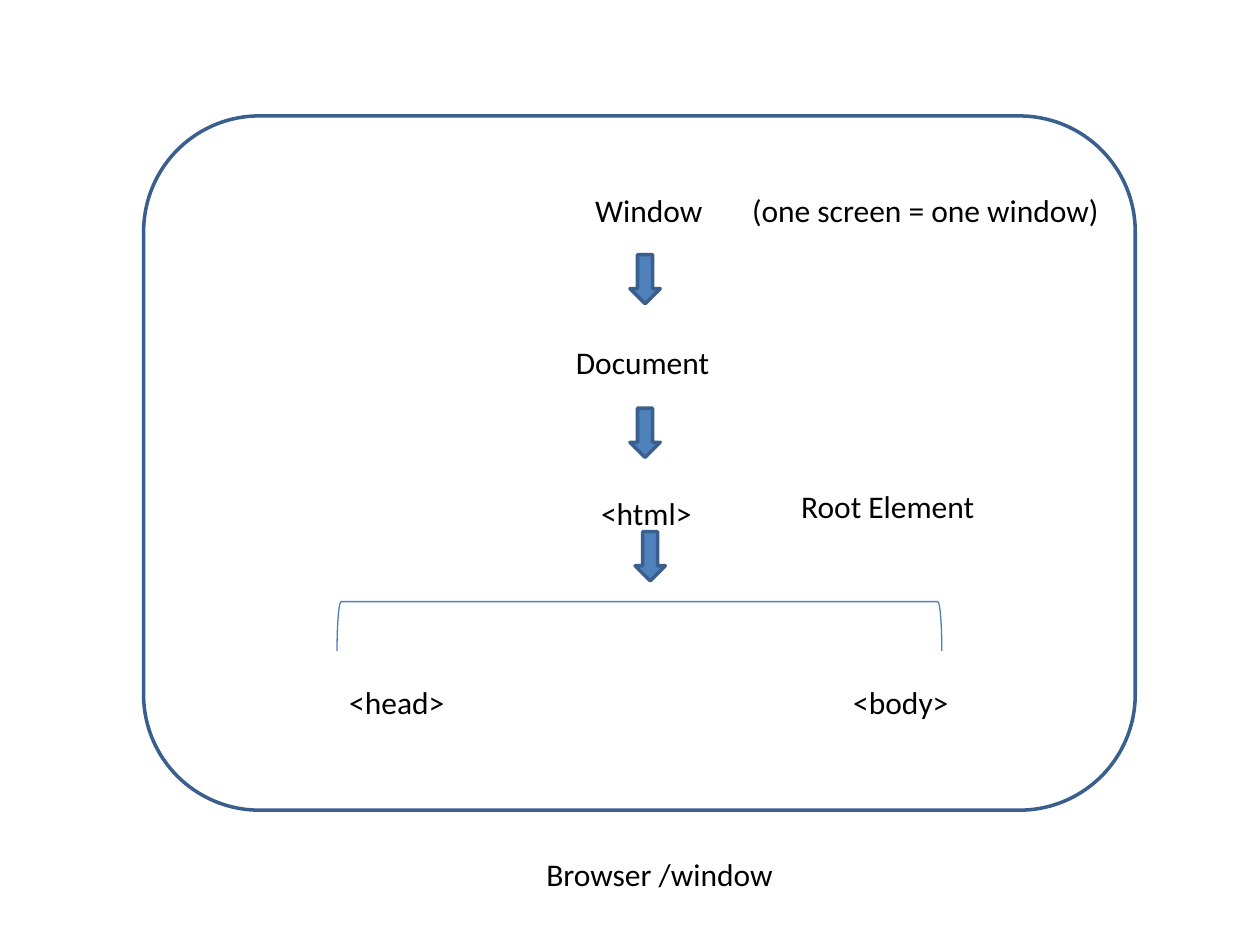
from dataclasses import dataclass
from typing import Optional

from pptx import Presentation
from pptx.dml.color import RGBColor
from pptx.enum.shapes import MSO_SHAPE
from pptx.enum.text import PP_ALIGN
from pptx.util import Inches, Pt


@dataclass(frozen=True)
class Theme:
    font: str = "Calibri"
    size: float = 18
    text: str = "000000"
    fill: str = "4F81BD"
    outline: str = "3A5F8C"
    bracket: str = "4B7EBC"


@dataclass(frozen=True)
class Label:
    text: str
    left: float
    top: float
    width: float
    align: PP_ALIGN = PP_ALIGN.CENTER


@dataclass(frozen=True)
class Figure:
    kind: MSO_SHAPE
    left: float
    top: float
    width: float
    height: float
    line: str
    weight: float
    fill: Optional[str] = None
    rotation: float = 0


THEME = Theme()
LABEL_HEIGHT = 0.4
NODE_WIDTH = 1.6
NODE_TOP = 1.47
NODE_STEP = 1.2

NODES = [
    ("Window", 5.15, 0),
    ("Document", 5.1, 1),
    ("<html>", 5.13, 2),
    ("<head>", 3.15, 3.25),
    ("<body>", 7.15, 3.25),
]
LABELS = [
    Label(text, center - NODE_WIDTH / 2, NODE_TOP + row * NODE_STEP, NODE_WIDTH)
    for text, center, row in NODES
] + [
    Label("Browser /window", 3.03, 6.74, 4.41),
    Label("(one screen = one window)", 5.87, NODE_TOP, 3.15, PP_ALIGN.LEFT),
    Label("Root Element", 6.26, 3.82, 3.15, PP_ALIGN.LEFT),
]

FRAME = Figure(MSO_SHAPE.ROUNDED_RECTANGLE, 1.14, 0.92, 7.87, 5.51, THEME.outline, 2)
BRACKET = Figure(MSO_SHAPE.RIGHT_BRACKET, 4.88, 2.57, 0.39, 4.8, THEME.bracket, 0.75,
                 rotation=270)
ARROWS = [
    Figure(MSO_SHAPE.DOWN_ARROW, left, top, 0.24, 0.39, THEME.outline, 2, THEME.fill)
    for left, top in [(5, 2.02), (5, 3.24), (5.04, 4.22)]
]


def add_figure(s, fig: Figure) -> None:
    sp = s.shapes.add_shape(fig.kind, Inches(fig.left), Inches(fig.top),
                            Inches(fig.width), Inches(fig.height))
    sp.shadow.inherit = False
    sp.rotation = fig.rotation
    if fig.fill:
        sp.fill.solid()
        sp.fill.fore_color.rgb = RGBColor.from_string(fig.fill)
    else:
        sp.fill.background()
    sp.line.color.rgb = RGBColor.from_string(fig.line)
    sp.line.width = Pt(fig.weight)


def add_label(s, label: Label) -> None:
    sp = s.shapes.add_textbox(Inches(label.left), Inches(label.top),
                              Inches(label.width), Inches(LABEL_HEIGHT))
    tf = sp.text_frame
    tf.word_wrap = True
    p = tf.paragraphs[0]
    p.alignment = label.align
    r = p.add_run()
    r.text = label.text
    r.font.name = THEME.font
    r.font.size = Pt(THEME.size)
    r.font.color.rgb = RGBColor.from_string(THEME.text)


def main() -> None:
    prs = Presentation()
    prs.slide_width, prs.slide_height = Inches(10), Inches(7.5)
    s = prs.slides.add_slide(prs.slide_layouts[6])
    for fig in [FRAME, BRACKET, *ARROWS]:
        add_figure(s, fig)
    for label in LABELS:
        add_label(s, label)
    prs.save("out.pptx")


if __name__ == "__main__":
    main()
